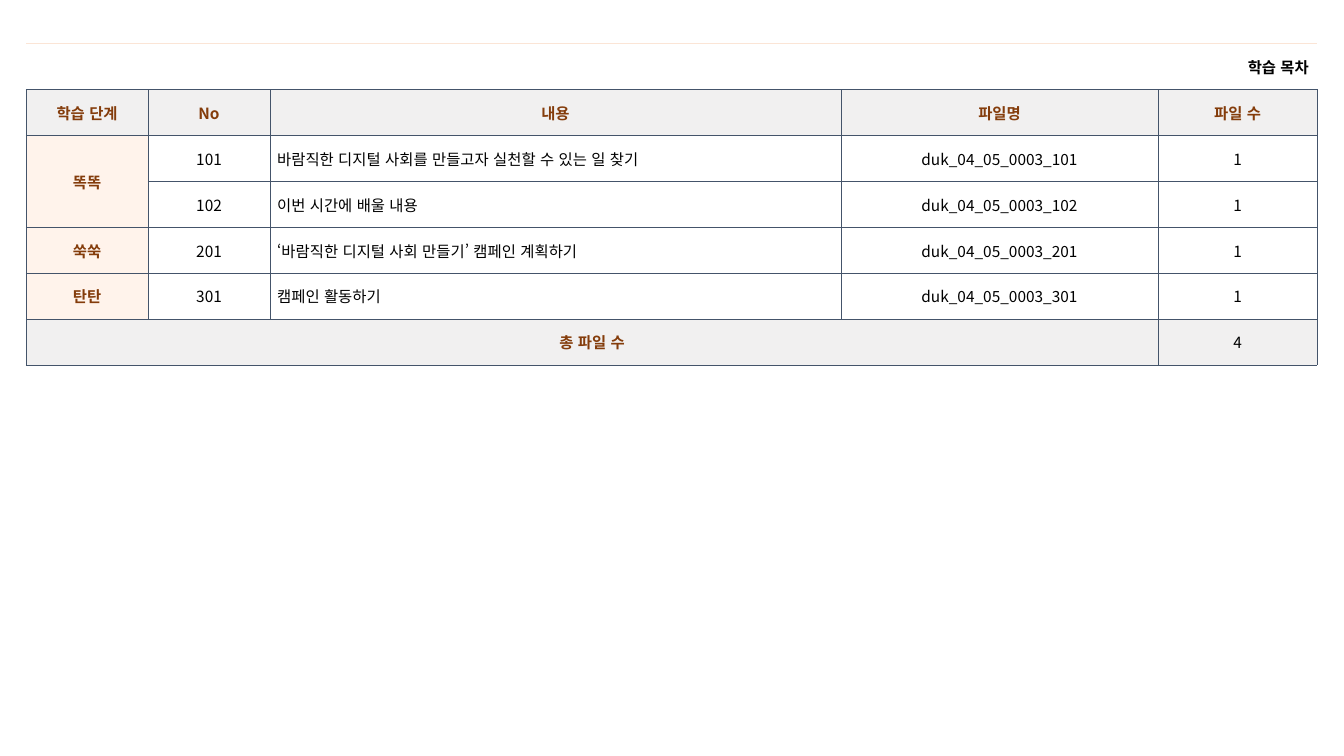
from lxml import etree
from pptx import Presentation
from pptx.dml.color import RGBColor
from pptx.enum.lang import MSO_LANGUAGE_ID
from pptx.enum.text import MSO_ANCHOR, PP_ALIGN
from pptx.oxml.ns import qn
from pptx.util import Pt

LEFT, CENTER, RIGHT = PP_ALIGN.LEFT, PP_ALIGN.CENTER, PP_ALIGN.RIGHT
MIDDLE = MSO_ANCHOR.MIDDLE
KOREAN = MSO_LANGUAGE_ID.KOREAN

THEME = {
    "font": "Noto Sans CJK KR",
    "size": 11,
    "text": "000000",
    "accent": "843C0B",
    "header": "F1F0F0",
    "stage": "FFF3EB",
    "body": "FFFFFF",
    "grid": "44546A",
    "title_line": "FBE5D6",
}

CONTENTS = [
    ["학습 목차", "", "", "", ""],
    ["학습 단계", "No", "내용", "파일명", "파일 수"],
    ["똑똑", "101", "바람직한 디지털 사회를 만들고자 실천할 수 있는 일 찾기", "duk_04_05_0003_101", "1"],
    ["", "102", "이번 시간에 배울 내용", "duk_04_05_0003_102", "1"],
    ["쑥쑥", "201", "‘바람직한 디지털 사회 만들기’ 캠페인 계획하기", "duk_04_05_0003_201", "1"],
    ["탄탄", "301", "캠페인 활동하기", "duk_04_05_0003_301", "1"],
    ["총 파일 수", "", "", "", "4"],
]
COLUMN_WIDTHS = [87.1, 87.1, 407.9, 226.5, 113.5]
ROW_HEIGHT = 32.85
TITLE_ROW, HEADER_ROW, TOTAL_ROW = 0, 1, len(CONTENTS) - 1
STAGE_COLUMN, TOPIC_COLUMN, COUNT_COLUMN = 0, 2, 4


def set_border(cell, position, side, color, width):
    border = etree.Element(qn(f"a:{side}"), w=str(Pt(width)))
    if color:
        fill = etree.SubElement(border, qn("a:solidFill"))
        etree.SubElement(fill, qn("a:srgbClr"), val=color)
    else:
        etree.SubElement(border, qn("a:noFill"))
    cell._tc.get_or_add_tcPr().insert(position, border)


def write_cell(cell, text, align, color, bold):
    cell.text_frame.text = text
    paragraph = cell.text_frame.paragraphs[0]
    paragraph.alignment = align
    for run in paragraph.runs:
        run.font.name = THEME["font"]
        run.font.size = Pt(THEME["size"])
        run.font.bold = bold
        run.font.color.rgb = RGBColor.from_string(color)
        run.font.language_id = KOREAN
        latin = run.font._element.find(qn("a:latin"))
        latin.addnext(etree.Element(qn("a:ea"), typeface=THEME["font"]))


prs = Presentation()
prs.slide_width, prs.slide_height = Pt(960), Pt(540)
slide = prs.slides.add_slide(prs.slide_layouts[6])

table = slide.shapes.add_table(
    len(CONTENTS), len(COLUMN_WIDTHS), Pt(18.7), Pt(31),
    Pt(sum(COLUMN_WIDTHS)), Pt(ROW_HEIGHT * len(CONTENTS)),
).table
table.first_row = table.horz_banding = False
for column, width in zip(table.columns, COLUMN_WIDTHS):
    column.width = Pt(width)

for r, entries in enumerate(CONTENTS):
    table.rows[r].height = Pt(ROW_HEIGHT)
    for c, text in enumerate(entries):
        cell = table.cell(r, c)
        is_title = r == TITLE_ROW
        is_band = r in (HEADER_ROW, TOTAL_ROW)
        is_stage = c == STAGE_COLUMN and not is_title
        is_label = r == HEADER_ROW or is_stage

        align = CENTER
        if is_title:
            align = RIGHT
        elif c == TOPIC_COLUMN and not is_band:
            align = LEFT
        write_cell(cell, text, align,
                   THEME["accent" if is_label else "text"], is_label or is_title)

        cell.vertical_anchor = MIDDLE
        cell.margin_left = cell.margin_right = Pt(5.8 if is_title else 5.1)
        cell.margin_top = cell.margin_bottom = Pt(3.6)
        if is_title:
            cell.fill.background()
        else:
            cell.fill.solid()
            fill = "header" if is_band else "stage" if is_stage else "body"
            cell.fill.fore_color.rgb = RGBColor.from_string(THEME[fill])

        side_color = None if is_title else THEME["grid"]
        top = (THEME["title_line"], 0.25) if is_title else (THEME["grid"], 0.5)
        borders = {"lnL": (side_color, 0.5), "lnR": (side_color, 0.5),
                   "lnT": top, "lnB": (THEME["grid"], 0.5)}
        for position, (side, (color, width)) in enumerate(borders.items()):
            set_border(cell, position, side, color, width)

table.cell(TITLE_ROW, STAGE_COLUMN).merge(table.cell(TITLE_ROW, COUNT_COLUMN))
table.cell(2, STAGE_COLUMN).merge(table.cell(3, STAGE_COLUMN))
table.cell(TOTAL_ROW, STAGE_COLUMN).merge(table.cell(TOTAL_ROW, COUNT_COLUMN - 1))

prs.save("out.pptx")
